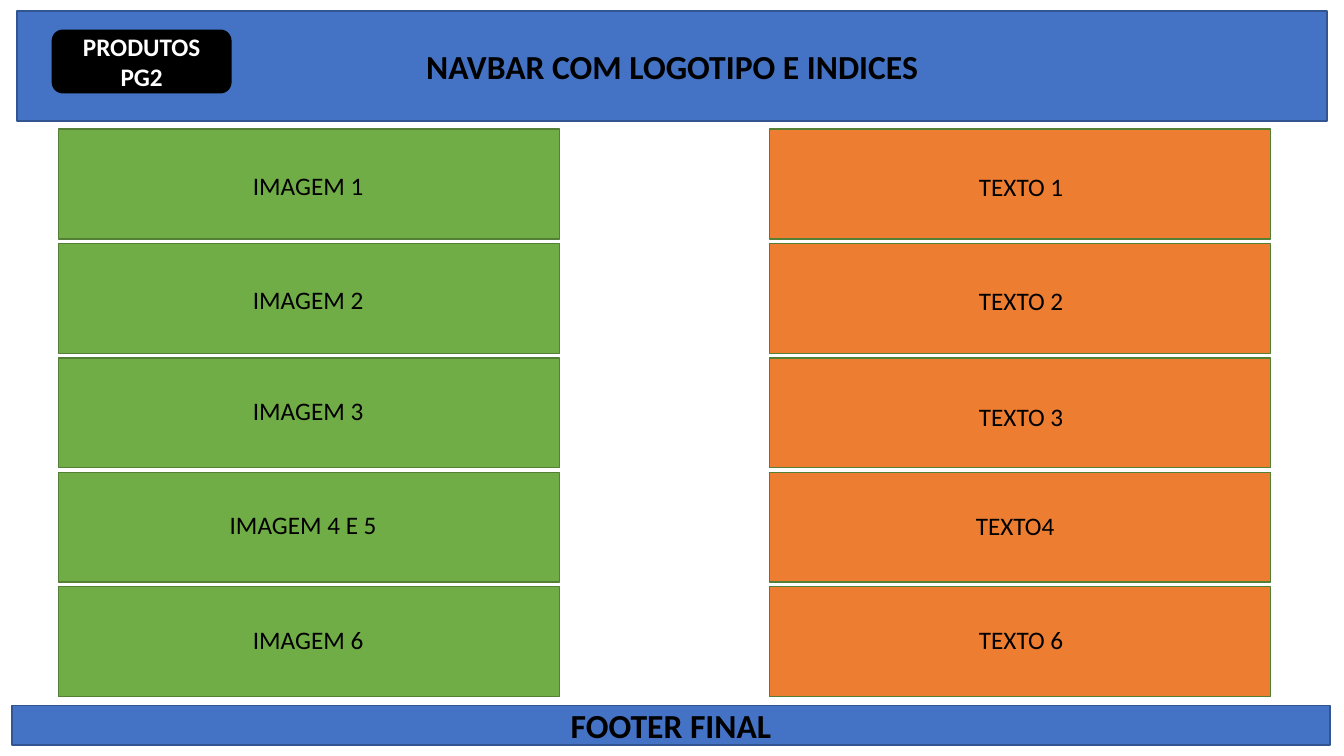
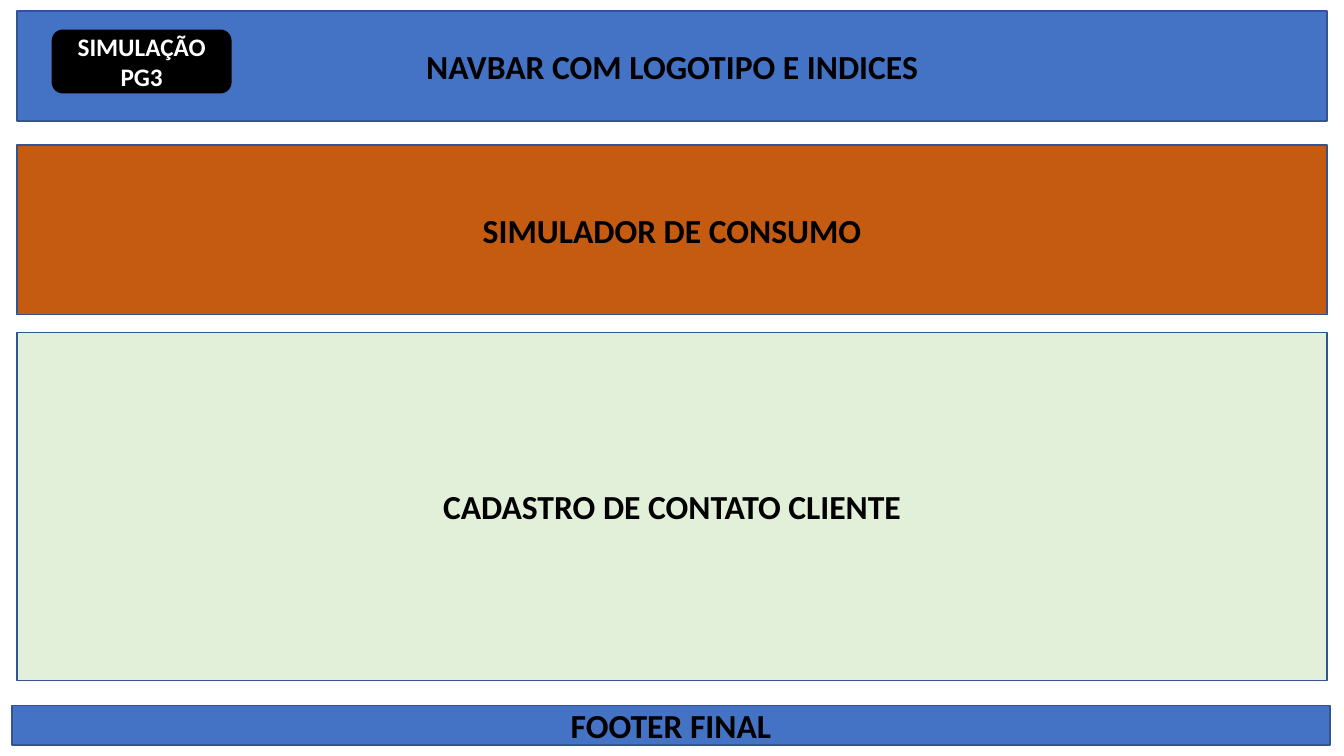
from pptx import Presentation
from pptx.dml.color import RGBColor
from pptx.enum.shapes import MSO_SHAPE as Shape
from pptx.enum.text import MSO_ANCHOR as Anchor, PP_ALIGN as Align
from pptx.util import Inches, Pt

WIDTH, HEIGHT = 13.33, 7.5
FONT = "Calibri"
BLACK, WHITE = "000000", "FFFFFF"
BLUE, NAVY = "4472C4", "325491"
GREEN, ORANGE, DARK_GREEN = "70AD47", "ED7D31", "538035"

BAND_LEFT, BAND_WIDTH = 0.17, 12.99
NAVBAR = ("NAVBAR COM LOGOTIPO E INDICES", (BAND_LEFT, 0.11, BAND_WIDTH, 1.09))
FOOTER = ("FOOTER FINAL", (0.12, 7, 13.07, 0.39))
BADGE_BOX = (0.52, 0.3, 1.77, 0.62)

GRID_TOP, ROW_PITCH = 1.28, 1.135
CELL_WIDTH, CELL_HEIGHT = 4.97, 1.09
LABEL_HEIGHT = 0.4

# Each label: text, left, width, drop below the top of its row
COLUMNS = [
    (0.58, GREEN, [
        ("IMAGEM 1", 2.41, 1.32, 0.36),
        ("IMAGEM 2", 2.41, 1.32, 0.36),
        ("IMAGEM 3", 2.41, 1.32, 0.32),
        ("IMAGEM 4 E 5", 2.18, 1.77, 0.32),
        ("IMAGEM 6", 2.41, 1.32, 0.32),
    ]),
    (7.63, ORANGE, [
        ("TEXTO 1", 9.61, 1.32, 0.37),
        ("TEXTO 2", 9.61, 1.32, 0.37),
        ("TEXTO 3", 9.61, 1.32, 0.38),
        ("TEXTO4", 9.58, 1.07, 0.33),
        ("TEXTO 6", 9.61, 1.32, 0.32),
    ]),
]

SECTIONS = [
    ("SIMULADOR DE CONSUMO", 1.44, 1.68, "C55A11"),
    ("CADASTRO DE CONTATO CLIENTE", 3.3, 3.45, "E2F0D9"),
]


def color(value):
    return RGBColor.from_string(value)


def write(shape, text, size, ink=BLACK, bold=False, align=Align.CENTER, anchor=Anchor.MIDDLE):
    frame = shape.text_frame
    frame.word_wrap = True
    frame.vertical_anchor = anchor
    frame.text = text
    paragraph = frame.paragraphs[0]
    paragraph.alignment = align
    font = paragraph.runs[0].font
    font.name, font.size, font.bold = FONT, Pt(size), bold
    font.color.rgb = color(ink)


def add_block(slide, box, fill, line, kind=Shape.RECTANGLE):
    shape = slide.shapes.add_shape(kind, *map(Inches, box))
    shape.shadow.inherit = False
    shape.fill.solid()
    shape.fill.fore_color.rgb = color(fill)
    shape.line.color.rgb = color(line)
    shape.line.width = Pt(1)
    return shape


def add_band(slide, text, box, fill=BLUE):
    write(add_block(slide, box, fill, NAVY), text, 24, bold=True)


def add_page(presentation, badge):
    """Add a slide with the shared navbar, footer and page badge."""
    slide = presentation.slides.add_slide(presentation.slide_layouts[6])
    for text, box in (NAVBAR, FOOTER):
        add_band(slide, text, box)
    shape = add_block(slide, BADGE_BOX, BLACK, BLACK, Shape.ROUNDED_RECTANGLE)
    write(shape, badge, 18, WHITE, bold=True)
    return slide


def add_column(slide, left, fill, labels):
    for row, (text, label_left, label_width, drop) in enumerate(labels):
        top = GRID_TOP + row * ROW_PITCH
        add_block(slide, (left, top, CELL_WIDTH, CELL_HEIGHT), fill, DARK_GREEN)
        box = (label_left, top + drop, label_width, LABEL_HEIGHT)
        label = slide.shapes.add_textbox(*map(Inches, box))
        write(label, text, 18, align=Align.LEFT, anchor=Anchor.TOP)


presentation = Presentation()
presentation.slide_width, presentation.slide_height = Inches(WIDTH), Inches(HEIGHT)

products = add_page(presentation, "PRODUTOS PG2")
for column in COLUMNS:
    add_column(products, *column)

simulation = add_page(presentation, "SIMULAÇÃO PG3")
for text, top, height, fill in SECTIONS:
    add_band(simulation, text, (BAND_LEFT, top, BAND_WIDTH, height), fill)

presentation.save("out.pptx")
